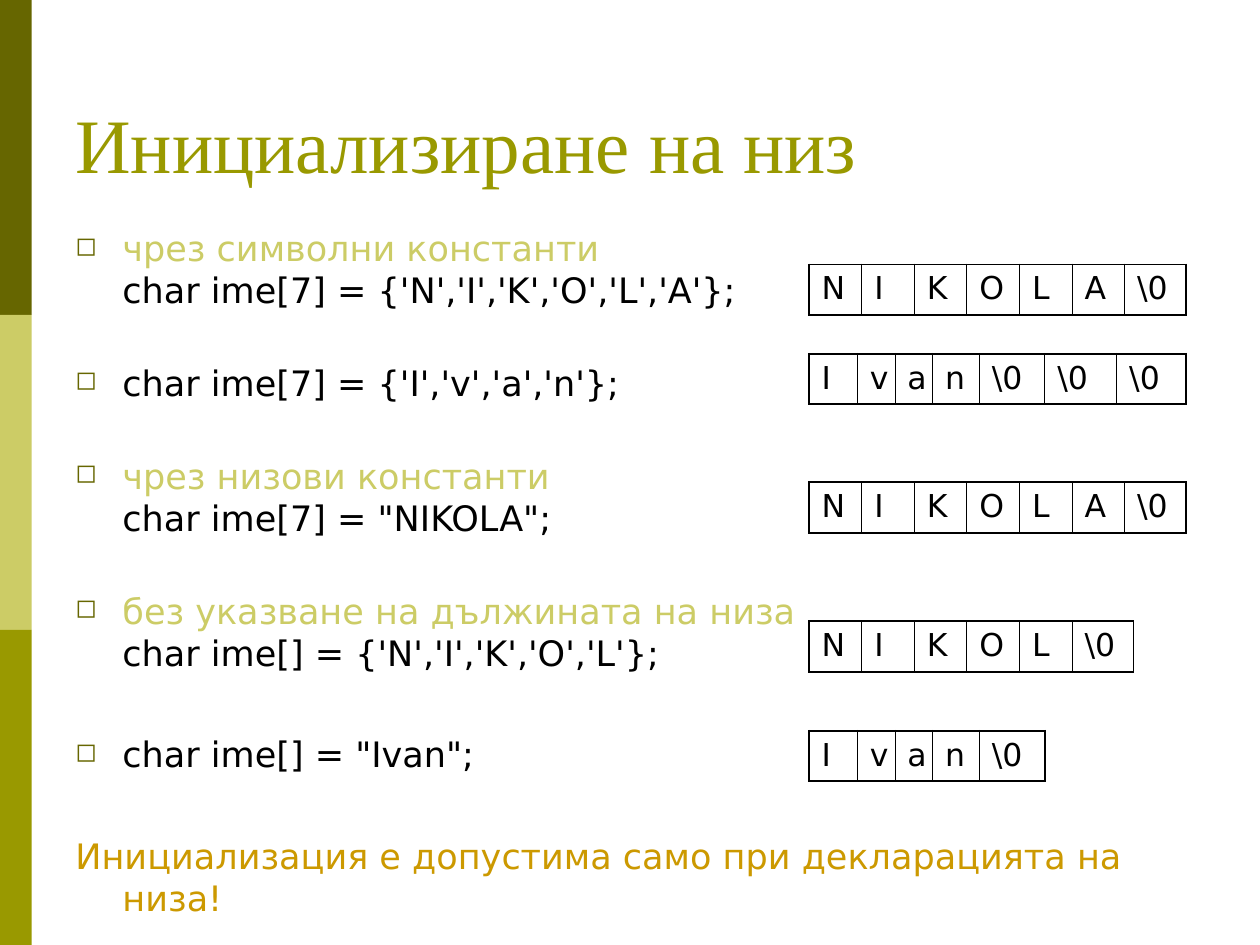
import pptx
import pptx.dml.color
import pptx.enum.shapes
import pptx.enum.text
import pptx.oxml
import pptx.oxml.ns
import pptx.util

Cm = pptx.util.Cm
Pt = pptx.util.Pt

DARK, LIGHT, OLIVE = "666600", "CCCC66", "999900"
BLACK, GOLD = "000000", "CC9900"
SANS, SERIF = "DejaVu Sans", "Times New Roman"
THICK, THIN = 1.08, 0.45
INDENT = Cm(0.95)

# Space before (points), bulleted or not, lines with their colours
ITEMS = [
    (0, True, [("чрез символни константи", LIGHT),
               ("char ime[7] = {'N','I','K','O','L','A'};", BLACK)]),
    (29, True, [("char ime[7] = {'I','v','a','n'};", BLACK)]),
    (29, True, [("чрез низови константи", LIGHT),
                ('char ime[7] = "NIKOLA";', BLACK)]),
    (29, True, [("без указване на дължината на низа", LIGHT),
                ("char ime[] = {'N','I','K','O','L'};", BLACK)]),
    (34, True, [('char ime[] = "Ivan";', BLACK)]),
    (34, False, [("Инициализация е допустима само при декларацията на низа!",
                  GOLD)]),
]

EVEN = [1.06] * 6
IVAN = [0.97, 0.76, 0.76, 0.94, 1.32, 1.45, 1.4]
NULL = "\\0"
# Top, characters and column widths, in centimetres
ARRAYS = [
    (5.33, [*"NIKOLA", NULL], EVEN + [1.24]),
    (7.13, [*"Ivan", NULL, NULL, NULL], IVAN),
    (9.72, [*"NIKOLA", NULL], EVEN + [1.24]),
    (12.52, [*"NIKOL", NULL], EVEN[:5] + [1.24]),
    (14.73, [*"Ivan", NULL], IVAN[:5]),
]


def paint(code):
    return pptx.dml.color.RGBColor.from_string(code)


def apply(item, values):
    for name, value in values.items():
        setattr(item, name, value)


def style(font, name, size, code):
    apply(font, {"name": name, "size": Pt(size), "bold": False})
    font.color.rgb = paint(code)


def add_bar(slide, top, code):
    bar = slide.shapes.add_shape(pptx.enum.shapes.MSO_SHAPE.RECTANGLE,
                                 0, top, Cm(0.64), Cm(6.35))
    bar.shadow.inherit = False
    bar.fill.solid()
    bar.fill.fore_color.rgb = paint(code)
    bar.line.fill.background()


def add_box(slide, left, top, width, height, anchor):
    frame = slide.shapes.add_textbox(left, top, width, height).text_frame
    apply(frame, {"word_wrap": True, "vertical_anchor": anchor})
    return frame


def add_run(para, text, name, size, code):
    run = para.add_run()
    run.text = text
    style(run.font, name, size, code)


def hang(para, bullet):
    """Give a paragraph a hanging indent, with a square if bulleted."""
    props = para._p.get_or_add_pPr()
    props.set("marL", str(INDENT))
    props.set("indent", str(-INDENT))
    space = pptx.oxml.ns.nsdecls("a")
    parts = [f"<a:buNone {space}/>"]
    if bullet:
        parts = [
            f'<a:buClr {space}><a:srgbClr val="{DARK}"/></a:buClr>',
            f'<a:buSzPct {space} val="75000"/>',
            f'<a:buChar {space} char="◻"/>',
        ]
    for part in parts:
        props.append(pptx.oxml.parse_xml(part))


def add_list(frame):
    for index, (space, bullet, lines) in enumerate(ITEMS):
        para = frame.add_paragraph() if index else frame.paragraphs[0]
        hang(para, bullet)
        para.space_before = Pt(space)
        style(para.font, SANS, 20, BLACK)
        for row, (text, code) in enumerate(lines):
            if row:
                para.add_line_break()
            add_run(para, text, SANS, 20, code)


def edge(cell, sides):
    """Draw the cell's borders, given as side and width in points."""
    props = cell._tc.get_or_add_tcPr()
    for side, width in sides.items():
        props.append(pptx.oxml.parse_xml(
            f'<a:ln{side} {pptx.oxml.ns.nsdecls("a")} w="{Pt(width)}">'
            f'<a:solidFill><a:srgbClr val="{BLACK}"/></a:solidFill>'
            f'</a:ln{side}>'))


def add_array(slide, top, chars, widths):
    grid = slide.shapes.add_table(1, len(chars), Cm(16.31), Cm(top),
                                  Cm(sum(widths)), Cm(1.02)).table
    apply(grid, {"first_row": False, "horz_banding": False})
    last = len(chars) - 1
    for index, (char, width) in enumerate(zip(chars, widths)):
        grid.columns[index].width = Cm(width)
        cell = grid.cell(0, index)
        edge(cell, {"L": THIN if index else THICK,
                    "R": THIN if index < last else THICK,
                    "T": THICK, "B": THICK})
        cell.fill.background()
        add_run(cell.text_frame.paragraphs[0], char, SANS, 18, BLACK)


def main():
    deck = pptx.Presentation()
    apply(deck, {"slide_width": Cm(25.4), "slide_height": Cm(19.05)})
    slide = deck.slides.add_slide(deck.slide_layouts[6])
    for index, code in enumerate([DARK, LIGHT, OLIVE]):
        add_bar(slide, Cm(6.35 * index), code)

    anchor = pptx.enum.text.MSO_ANCHOR
    title = add_box(slide, Cm(1.27), Cm(0.76), Cm(22.86), Cm(3.18),
                    anchor.BOTTOM)
    add_run(title.paragraphs[0], "Инициализиране на низ", SERIF, 44, OLIVE)
    body = add_box(slide, Cm(1.27), Cm(4.45), Cm(23.62), Cm(13.49),
                   anchor.TOP)
    add_list(body)
    for top, chars, widths in ARRAYS:
        add_array(slide, top, chars, widths)
    deck.save("out.pptx")


if __name__ == "__main__":
    main()
